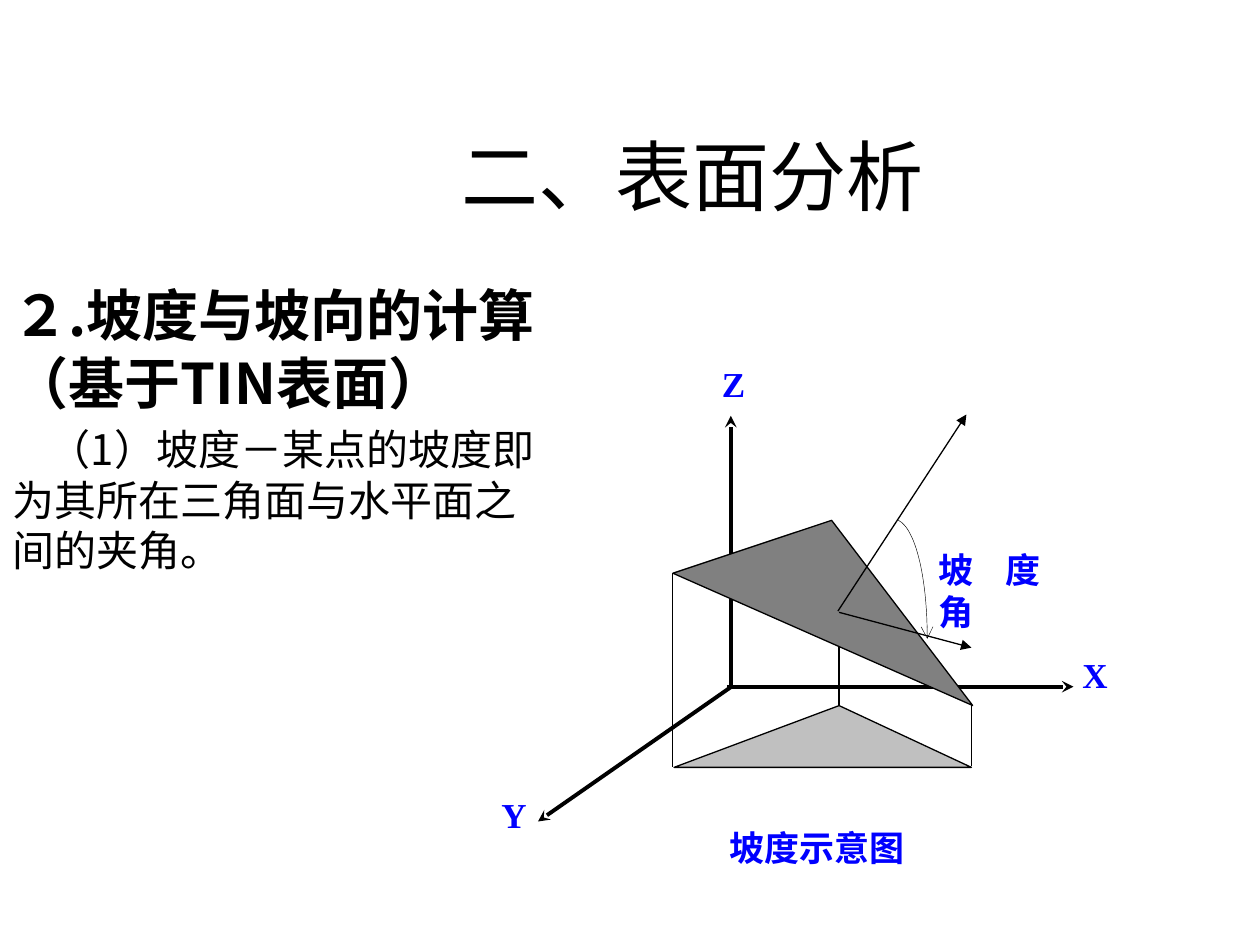
import pptx
import pptx.util
import pptx.dml.color
import pptx.enum.shapes
import pptx.enum.text
import pptx.oxml
import pptx.oxml.ns
from dataclasses import dataclass

Inches = pptx.util.Inches
Pt = pptx.util.Pt
Align = pptx.enum.text.PP_ALIGN
Anchor = pptx.enum.text.MSO_ANCHOR


@dataclass(frozen=True)
class Theme:
    ink: str = "000000"
    label: str = "0000FF"
    light: str = "C0C0C0"
    dark: str = "808080"
    sans: str = "Calibri"
    cjk: str = "Noto Sans CJK SC"
    serif: str = "Times New Roman"
    title: int = 44
    head: int = 32
    body: int = 24
    note: int = 20
    thick: float = 2.25
    thin: float = 0.75
    hair: float = 0.25


THEME = Theme()


def rgb(code):
    return pptx.dml.color.RGBColor.from_string(code)


def add_tag(owner, tag, **attrs):
    """Append a drawing element to its owner."""
    item = pptx.oxml.parse_xml(f"<a:{tag} {pptx.oxml.ns.nsdecls('a')}/>")
    for name, value in attrs.items():
        item.set(name, value)
    owner.append(item)


def set_line(shape, width, head=None):
    shape.line.color.rgb = rgb(THEME.ink)
    shape.line.width = Pt(width)
    if head:
        add_tag(shape.line._get_or_add_ln(), "tailEnd", type=head)


def add_line(slide, start, end, width=THEME.thin, head=None):
    kind = pptx.enum.shapes.MSO_CONNECTOR.STRAIGHT
    ends = [Inches(v) for v in (*start, *end)]
    line = slide.shapes.add_connector(kind, *ends)
    set_line(line, width, head)
    add_tag(line._element.spPr, "effectLst")


def add_path(slide, points, width=THEME.thin, fill=None, head=None):
    """Draw a filled polygon, or an open path when there is no fill."""
    spots = [(Inches(x), Inches(y)) for x, y in points]
    pen = slide.shapes.build_freeform(*spots[0], scale=1.0)
    pen.add_line_segments(spots[1:], close=fill is not None)
    shape = pen.convert_to_shape()
    shape.shadow.inherit = False
    if fill:
        shape.fill.solid()
        shape.fill.fore_color.rgb = rgb(fill)
    else:
        shape.fill.background()
    set_line(shape, width, head)


def curve(a, b, c, d, steps=24):
    """Points along a cubic curve."""
    for i in range(steps + 1):
        t = i / steps
        u = 1 - t
        parts = (u ** 3, 3 * u * u * t, 3 * u * t * t, t ** 3)
        yield tuple(sum(k * p[n] for k, p in zip(parts, (a, b, c, d)))
                    for n in (0, 1))


def add_box(slide, left, top, width, height, inset=True):
    box = slide.shapes.add_textbox(
        Inches(left), Inches(top), Inches(width), Inches(height))
    frame = box.text_frame
    frame.word_wrap = True
    if not inset:
        frame.margin_left = frame.margin_right = 0
        frame.margin_top = frame.margin_bottom = 0
    return frame


def set_text(para, text, size, font, color=THEME.ink, bold=False, align=None):
    para.text = text
    para.alignment = align
    for run in para.runs:
        run.font.size = Pt(size)
        run.font.name = font
        run.font.bold = bold
        run.font.color.rgb = rgb(color)
        add_tag(run.font._element, "ea", typeface=THEME.cjk)


def add_label(slide, text, left, top, width, height=0.42):
    frame = add_box(slide, left, top, width, height, inset=False)
    set_text(frame.paragraphs[0], text, THEME.note, THEME.serif,
             THEME.label, True, Align.JUSTIFY)


def add_words(slide):
    # Title
    frame = add_box(slide, 1, 0.76, 9, 1.25)
    frame.vertical_anchor = Anchor.MIDDLE
    set_text(frame.paragraphs[0], "二、表面分析", THEME.title, THEME.sans,
             align=Align.CENTER)

    # Heading and definition
    frame = add_box(slide, 0, 2.18, 4.42, 4.52)
    set_text(frame.paragraphs[0], "２.坡度与坡向的计算（基于TIN表面）",
             THEME.head, THEME.cjk, bold=True)
    para = frame.add_paragraph()
    set_text(para, "（1）坡度－某点的坡度即为其所在三角面与水平面之间的夹角。",
             THEME.body, THEME.cjk)
    para.space_before = Pt(THEME.body * 0.2)
    para._p.get_or_add_pPr().set("indent", str(Inches(0.29)))


def add_graph(slide):
    # Axes
    for start, end in (((5.77, 5.45), (8.52, 5.45)),
                       ((5.82, 5.44), (4.27, 6.52)),
                       ((5.8, 5.44), (5.8, 3.3))):
        add_line(slide, start, end, THEME.thick, "stealth")

    # Slope angle arc
    arc = curve((7.13, 4.13), (7.26, 4.19), (7.36, 4.56), (7.36, 5.07))
    add_path(slide, list(arc), THEME.hair, head="arrow")

    # Uprights, ground triangle and sloping triangle
    for x, top, foot in ((5.34, 4.55, 6.09), (6.66, 5.04, 5.6),
                         (7.71, 5.59, 6.08)):
        add_line(slide, (x, top), (x, foot))
    add_path(slide, [(5.35, 6.09), (6.66, 5.6), (7.71, 6.09)],
             fill=THEME.light)
    add_path(slide, [(5.34, 4.55), (7.72, 5.6), (6.6, 4.13)],
             fill=THEME.dark)

    # Normal and horizontal direction
    add_line(slide, (6.65, 4.85), (7.67, 3.29), head="triangle")
    add_line(slide, (6.66, 4.86), (7.71, 5.14), head="triangle")

    # Labels and caption
    for name, left, top in (("X", 8.59, 5.19), ("Y", 3.98, 6.3),
                            ("Z", 5.73, 2.88)):
        add_label(slide, name, left, top, 0.26)
    add_label(slide, "坡度角", 7.45, 4.35, 0.81)
    frame = add_box(slide, 5.07, 6.51, 2.83, 0.43)
    set_text(frame.paragraphs[0], "坡度示意图", THEME.note, THEME.cjk,
             THEME.label, True, Align.CENTER)


def main():
    deck = pptx.Presentation()
    deck.slide_width = Inches(10)
    deck.slide_height = Inches(7.5)
    slide = deck.slides.add_slide(deck.slide_layouts[6])
    add_words(slide)
    add_graph(slide)
    deck.save("out.pptx")


if __name__ == "__main__":
    main()
